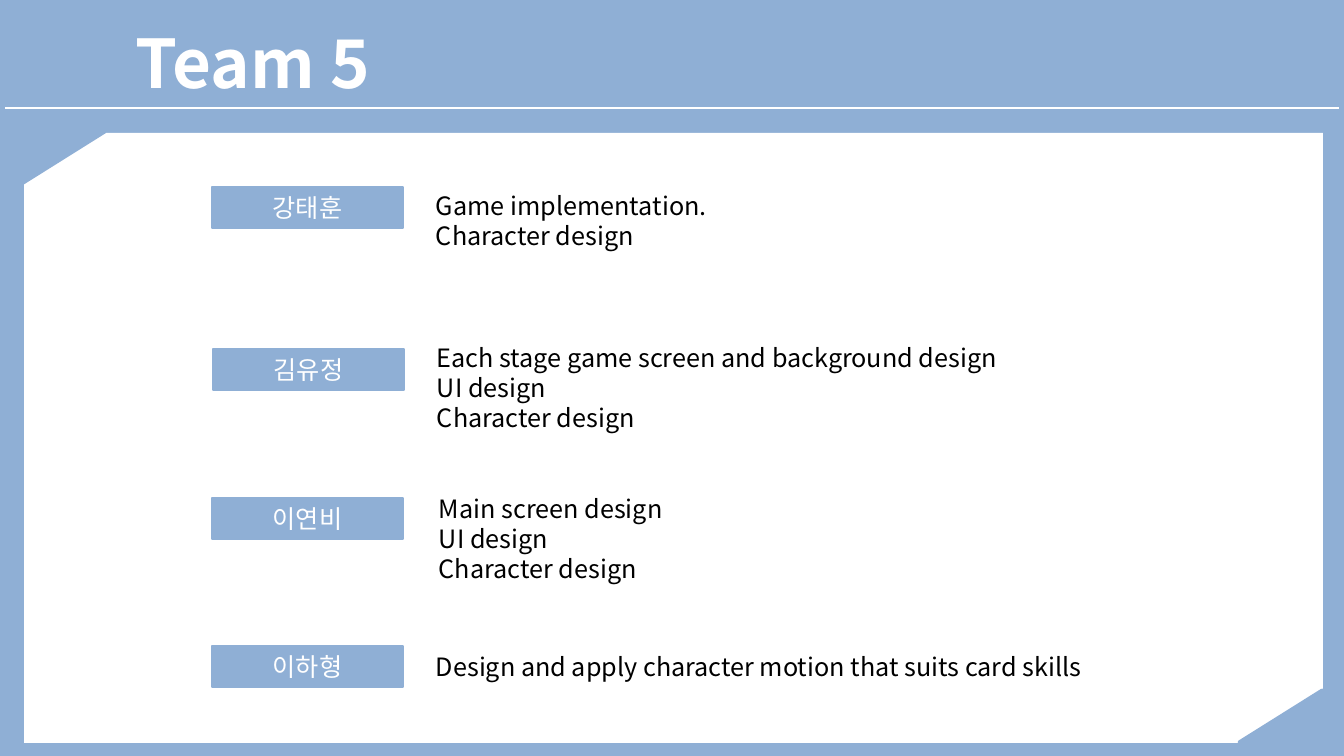
from dataclasses import dataclass

from lxml import etree
from pptx import Presentation
from pptx.dml.color import RGBColor
from pptx.enum.shapes import MSO_CONNECTOR, MSO_SHAPE
from pptx.enum.text import MSO_ANCHOR, MSO_AUTO_SIZE, PP_ALIGN
from pptx.oxml.ns import qn
from pptx.util import Emu, Pt

RECTANGLE, STRAIGHT = MSO_SHAPE.RECTANGLE, MSO_CONNECTOR.STRAIGHT
TOP, MIDDLE = MSO_ANCHOR.TOP, MSO_ANCHOR.MIDDLE
LEFT, CENTER = PP_ALIGN.LEFT, PP_ALIGN.CENTER
GROW = MSO_AUTO_SIZE.SHAPE_TO_FIT_TEXT

TITLE = "Team 5"
# Name, badge (left, top), tasks, task box (left, top, height); \v breaks a line
MEMBERS = [
    ("강태훈", (212, 187), ["Game implementation.\vCharacter design"], (426, 185, 72)),
    ("김유정", (213, 349), ["Each stage game screen and background design",
                         "UI design", "Character design"], (427, 337, 163)),
    ("이연비", (212, 498), ["Main screen design", "UI design", "Character design"],
     (429, 488, 102)),
    ("이하형", (212, 646), ["Design and apply character motion that suits card skills"],
     (426, 646, 40)),
]

SLIDE_W, SLIDE_H = 1344, 756
TITLE_BOX = (126, 16, 336, 92)
RULE_START, RULE_END, RULE_Y = 5, 1339, 108
PANEL = (24, 133, 1299, 610)
TOP_LEFT_CORNER = [(21, 131), (105, 132), (22, 184)]
CORNER_SUM_X, CORNER_SUM_Y = SLIDE_W, 874
BADGE_SIZE = (191, 41)
TASK_W = 692
EMU_PER_PX = 12192000 / SLIDE_W


@dataclass(frozen=True)
class Theme:
    blue: RGBColor = RGBColor(0x8F, 0xAF, 0xD5)
    white: RGBColor = RGBColor(0xFF, 0xFF, 0xFF)
    black: RGBColor = RGBColor(0, 0, 0)
    font: str = "Noto Sans CJK KR"
    title_size: Pt = Pt(48)
    body_size: Pt = Pt(18)
    outline: Pt = Pt(2)
    rule: Pt = Pt(1.75)


THEME = Theme()
TITLE_FONT = {"name": THEME.font, "size": THEME.title_size, "bold": True}
BODY_FONT = {"name": THEME.font, "size": THEME.body_size}


def px(*lengths):
    return [Emu(round(length * EMU_PER_PX)) for length in lengths]


def paint(shape, fill, line=None):
    shape.shadow.inherit = False
    shape.fill.solid()
    shape.fill.fore_color.rgb = fill
    if line is None:
        shape.line.fill.background()
    else:
        shape.line.color.rgb = line
        shape.line.width = THEME.outline


def write(shape, lines, font_format, color, align=LEFT, anchor=TOP):
    frame = shape.text_frame
    frame.word_wrap = True
    frame.vertical_anchor = anchor
    frame.text = "\n".join(lines)
    for paragraph in frame.paragraphs:
        paragraph.alignment = align
        for run in paragraph.runs:
            for key, value in font_format.items():
                setattr(run.font, key, value)
            run.font.color.rgb = color
            east_asian = etree.SubElement(run.font._element, qn("a:ea"))
            east_asian.set("typeface", THEME.font)


def add_text(shapes, box, lines, font_format, color):
    textbox = shapes.add_textbox(*px(*box))
    write(textbox, lines, font_format, color)
    textbox.text_frame.auto_size = GROW


def add_corner(shapes, points):
    builder = shapes.build_freeform(*points[0], scale=EMU_PER_PX)
    builder.add_line_segments(points[1:], close=True)
    paint(builder.convert_to_shape(), THEME.blue, THEME.blue)


def add_panel(shapes):
    """White panel with its top-left and bottom-right corners cut off."""
    paint(shapes.add_shape(RECTANGLE, *px(*PANEL)), THEME.white)
    add_corner(shapes, TOP_LEFT_CORNER)
    add_corner(shapes, [(CORNER_SUM_X - x, CORNER_SUM_Y - y) for x, y in TOP_LEFT_CORNER])


def add_header(shapes):
    rule = shapes.add_connector(STRAIGHT, *px(RULE_START, RULE_Y, RULE_END, RULE_Y))
    rule.line.color.rgb = THEME.white
    rule.line.width = THEME.rule
    etree.SubElement(rule._element.spPr, qn("a:effectLst"))
    add_text(shapes, TITLE_BOX, [TITLE], TITLE_FONT, THEME.white)


def add_member(shapes, name, badge_at, tasks, task_box):
    badge = shapes.add_shape(RECTANGLE, *px(*badge_at, *BADGE_SIZE))
    paint(badge, THEME.blue, THEME.blue)
    write(badge, [name], BODY_FONT, THEME.white, CENTER, MIDDLE)
    left, top, height = task_box
    add_text(shapes, (left, top, TASK_W, height), tasks, BODY_FONT, THEME.black)


def main():
    deck = Presentation()
    deck.slide_width, deck.slide_height = px(SLIDE_W, SLIDE_H)
    slide = deck.slides.add_slide(deck.slide_layouts[6])
    slide.background.fill.solid()
    slide.background.fill.fore_color.rgb = THEME.blue
    add_panel(slide.shapes)
    add_header(slide.shapes)
    for member in MEMBERS:
        add_member(slide.shapes, *member)
    deck.save("out.pptx")


if __name__ == "__main__":
    main()
